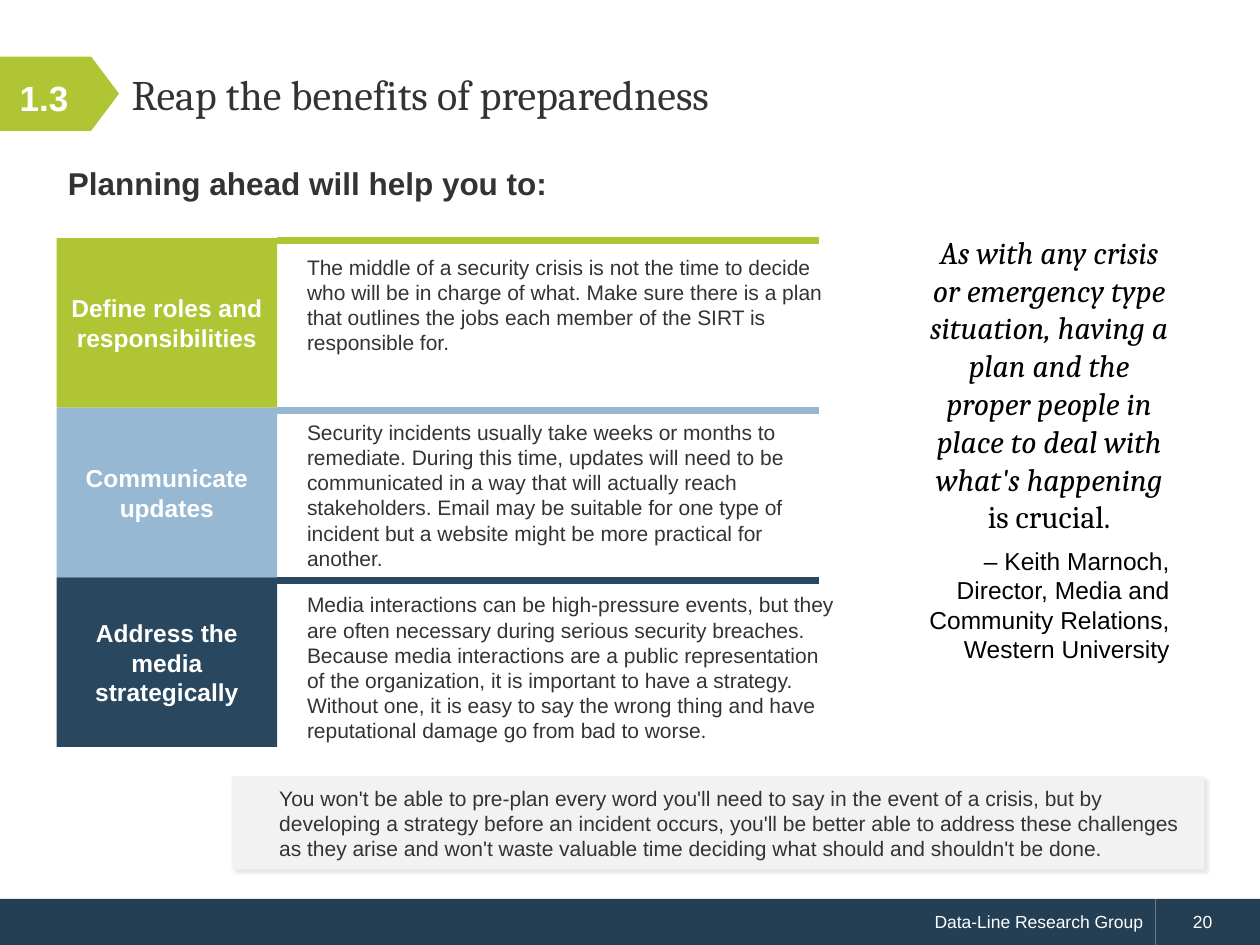
from lxml.etree import SubElement
from pptx import Presentation
from pptx.dml.color import RGBColor
from pptx.enum.shapes import MSO_SHAPE
from pptx.enum.text import MSO_ANCHOR, MSO_AUTO_SIZE, PP_ALIGN
from pptx.oxml.ns import qn
from pptx.util import Cm, Pt

LIME = RGBColor(0xB0, 0xC5, 0x34)
SKY = RGBColor(0x96, 0xB8, 0xD2)
NAVY = RGBColor(0x29, 0x47, 0x5F)
FOOT = RGBColor(0x24, 0x3F, 0x54)
PALE = RGBColor(0xF2, 0xF2, 0xF2)
INK = RGBColor(0x33, 0x33, 0x33)
WHITE = RGBColor(0xFF, 0xFF, 0xFF)
BLACK = RGBColor(0, 0, 0)

TITLE = "Reap the benefits of preparedness"
STEP = "1.3"
LEAD = "Planning ahead will help you to:"
# label, colour, top of the text in cm, text
ROWS = [
    ("Define roles and responsibilities", LIME, 5.0,
     "The middle of a security crisis is not the time to decide who will be in "
     "charge of what. Make sure there is a plan that outlines the jobs each "
     "member of the SIRT is responsible for."),
    ("Communicate updates", SKY, 8.33,
     "Security incidents usually take weeks or months to remediate. During this "
     "time, updates will need to be communicated in a way that will actually "
     "reach stakeholders. Email may be suitable for one type of incident but a "
     "website might be more practical for another."),
    ("Address the media strategically", NAVY, 11.81,
     "Media interactions can be high-pressure events, but they are often "
     "necessary during serious security breaches. Because media interactions "
     "are a public representation of the organization, it is important to have "
     "a strategy. Without one, it is easy to say the wrong thing and have "
     "reputational damage go from bad to worse."),
]
QUOTE = ("As with any crisis or emergency type situation, having a plan and the "
         "proper people in place to deal with what's happening ")
CLOSE = "is crucial."
CREDIT = ("– Keith Marnoch, Director, Media and Community Relations, "
          "Western University")
NOTE = ("You won't be able to pre-plan every word you'll need to say in the event "
        "of a crisis, but by developing a strategy before an incident occurs, "
        "you'll be better able to address these challenges as they arise and "
        "won't waste valuable time deciding what should and shouldn't be done.")
FIRM = "Data-Line Research Group"
PAGE = "20"

BODY = {"name": "Arial", "size": Pt(12), "color": INK}
HEAD = {"name": "Cambria", "size": Pt(24), "color": INK}
MARK = {"name": "Arial", "size": Pt(20), "color": WHITE, "bold": True}
LABEL = MARK | {"size": Pt(14)}
SUB = BODY | {"size": Pt(18), "bold": True}
SMALL = BODY | {"size": Pt(10), "color": WHITE}
SAID = {"name": "Cambria", "size": Pt(18), "color": BLACK, "italic": True}
PLAIN = SAID | {"italic": False}
BY = {"name": "Arial", "size": Pt(14), "color": BLACK}

ROW_TOP, ROW_H = 4.8, 3.42
BAR_H = 0.61
LEFT, MID, RIGHT = PP_ALIGN.LEFT, PP_ALIGN.CENTER, PP_ALIGN.RIGHT


def write(para, runs, align=LEFT):
    para.alignment = align
    for text, style in runs:
        run = para.add_run()
        run.text = text
        for key, value in style.items():
            if key == "color":
                run.font.color.rgb = value
            else:
                setattr(run.font, key, value)


def fill(shape, text, style, align=LEFT, anchor=MSO_ANCHOR.MIDDLE):
    frame = shape.text_frame
    frame.word_wrap = True
    frame.auto_size = MSO_AUTO_SIZE.NONE
    frame.vertical_anchor = anchor
    write(frame.paragraphs[0], [(text, style)], align)
    return frame


def form(slide, kind, box, color):
    shape = slide.shapes.add_shape(kind, *map(Cm, box))
    shape.shadow.inherit = False
    shape.fill.solid()
    shape.fill.fore_color.rgb = color
    shape.line.fill.background()
    return shape


def area(slide, box):
    return slide.shapes.add_textbox(*map(Cm, box))


def shade(shape):
    """Give the shape a faint shadow to the lower right."""
    effects = shape._element.spPr.find(qn("a:effectLst"))
    outer = SubElement(effects, qn("a:outerShdw"), blurRad=str(Pt(2)),
                       dist=str(Pt(2)), dir="2700000", algn="tl", rotWithShape="0")
    tint = SubElement(outer, qn("a:srgbClr"), val="000000")
    SubElement(tint, qn("a:alpha"), val="10000")


def header(slide):
    tag = form(slide, MSO_SHAPE.PENTAGON, (0, 1.14, 2.4, 1.5), LIME)
    tag.adjustments[0] = 0.376
    title = slide.shapes.title
    title.left, title.top, title.width, title.height = map(
        Cm, (2.4, 0.74, 22.25, 2.39))
    frame = fill(title, TITLE, HEAD)
    frame.paragraphs[0].line_spacing = Pt(26)
    fill(area(slide, (0, 0.72, 1.78, 2.49)), STEP, MARK, MID)
    fill(area(slide, (1.12, 3.18, 12.85, 1.02)), LEAD, SUB)


def table(slide):
    for i, (label, color, top, text) in enumerate(ROWS):
        y = ROW_TOP + i * ROW_H
        block = form(slide, MSO_SHAPE.RECTANGLE, (1.14, y, 4.45, ROW_H), color)
        fill(block, label, LABEL, MID)
        form(slide, MSO_SHAPE.MATH_MINUS, (3.61, y - 0.25, 14.88, BAR_H), color)
        fill(area(slide, (5.94, top, 11.2, 3.33)), text, BODY,
             anchor=MSO_ANCHOR.TOP)


def quote(slide):
    frame = fill(area(slide, (18.47, 4.57, 5.36, 10.57)), QUOTE, SAID, MID,
                 MSO_ANCHOR.TOP)
    write(frame.paragraphs[0], [(CLOSE, PLAIN)], MID)
    write(frame.add_paragraph(), [(CREDIT, BY)], RIGHT)
    for para in frame.paragraphs:
        para.space_after = Pt(6)


def footer(slide):
    note = form(slide, MSO_SHAPE.RECTANGLE, (4.67, 15.65, 19.61, 1.88), PALE)
    shade(note)
    fill(note, NOTE, BODY).margin_left = Cm(0.96)
    firm = form(slide, MSO_SHAPE.RECTANGLE, (0, 18.12, 23.29, 0.93), FOOT)
    fill(firm, FIRM, SMALL, RIGHT)
    page = form(slide, MSO_SHAPE.RECTANGLE, (23.29, 18.12, 2.11, 0.93), FOOT)
    fill(page, PAGE, SMALL).margin_left = Cm(0.76)


def main():
    deck = Presentation()
    deck.slide_width, deck.slide_height = Cm(25.4), Cm(19.05)
    slide = deck.slides.add_slide(deck.slide_layouts[5])
    for draw in (header, table, quote, footer):
        draw(slide)
    deck.save("out.pptx")


if __name__ == "__main__":
    main()
